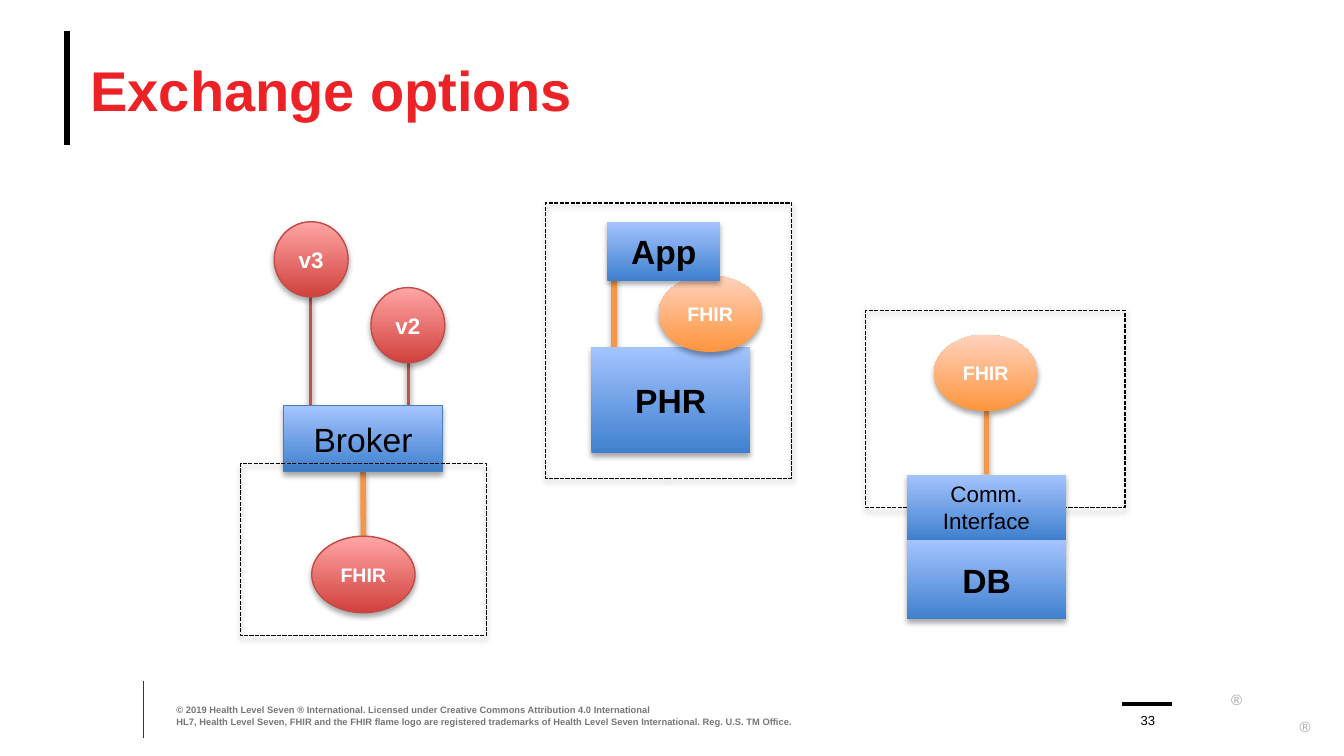
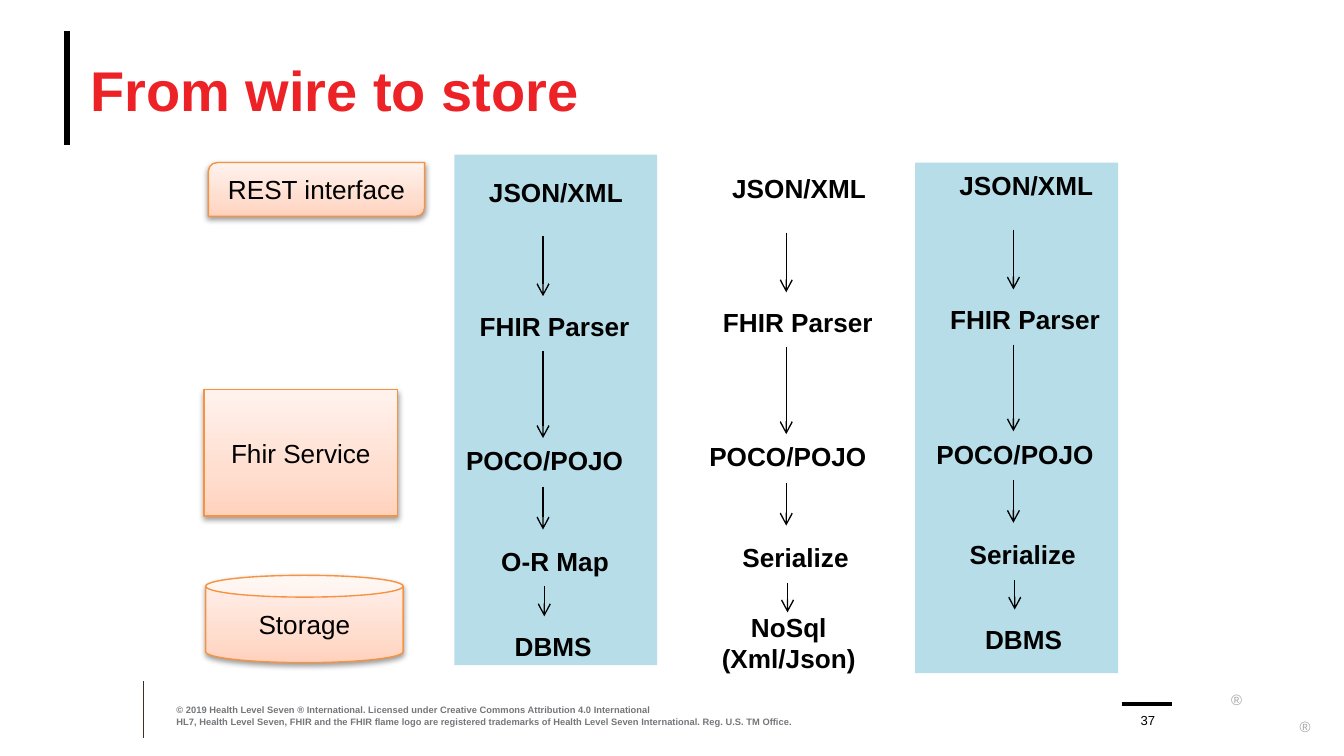
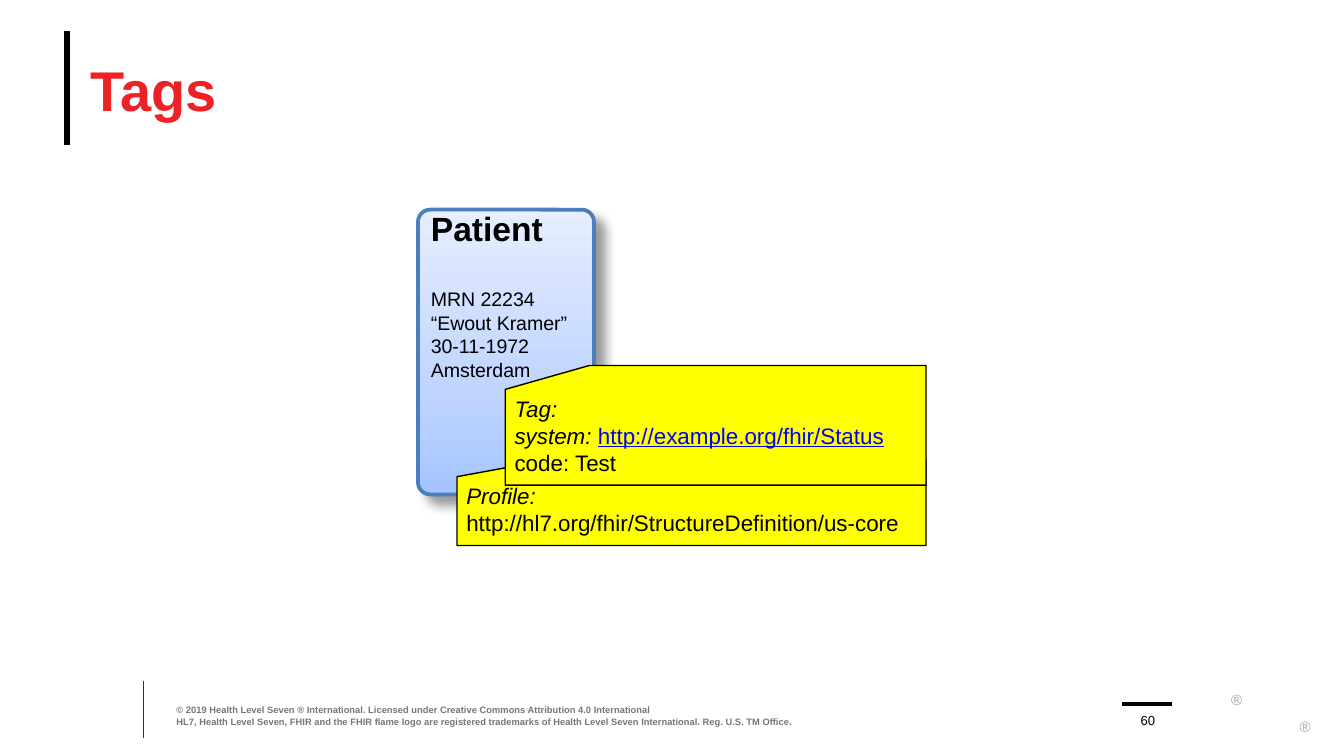
"""Build three slides on FHIR exchange options, storage layers and resource tags."""
from lxml import etree
from pptx import Presentation
from pptx.dml.color import RGBColor
from pptx.enum.dml import MSO_LINE
from pptx.enum.shapes import MSO_CONNECTOR, MSO_SHAPE
from pptx.enum.text import MSO_ANCHOR, MSO_AUTO_SIZE, PP_ALIGN
from pptx.oxml.ns import qn
from pptx.util import Pt

STRAIGHT = MSO_CONNECTOR.STRAIGHT
RECT, OVAL, CARD = MSO_SHAPE.RECTANGLE, MSO_SHAPE.OVAL, MSO_SHAPE.FLOWCHART_CARD
ROUND, CAN, LEAF = MSO_SHAPE.ROUNDED_RECTANGLE, MSO_SHAPE.CAN, MSO_SHAPE.ROUND_2_DIAG_RECTANGLE
TOP, MIDDLE, BOTTOM = MSO_ANCHOR.TOP, MSO_ANCHOR.MIDDLE, MSO_ANCHOR.BOTTOM
LEFT, CENTER = PP_ALIGN.LEFT, PP_ALIGN.CENTER
GROW, DASHED = MSO_AUTO_SIZE.SHAPE_TO_FIT_TEXT, MSO_LINE.SQUARE_DOT

DEEP, SOFT, CAST = (35, 3.1, 1.8, 90), (38, 3.1, 1.6, 90), (40, 6, 7, 45)
BLUE = {"stops": [(0, "3F80CE"), (100, "A4C4FF")], "shadow": DEEP}
RED = {"stops": [(0, "D1403C"), (100, "FFA6A5")], "line": "BF4C48", "width": 0.75, "shadow": DEEP}
THEME = {
    "font": "Arial",
    "text": {
        "title": ("EC2227", {"size": Pt(30), "bold": True}),
        "footer": ("747679", {"size": Pt(5), "bold": True}),
        "page": ("000000", {"size": Pt(7)}),
        "mark": ("A6A6A6", {"size": Pt(8)}),
        "system": ("000000", {"size": Pt(18), "bold": True}),
        "broker": ("000000", {"size": Pt(18)}),
        "interface": ("000000", {"size": Pt(12)}),
        "version": ("FFFFFF", {"size": Pt(12), "bold": True}),
        "fhir": ("FFFFFF", {"size": Pt(10.5), "bold": True}),
        "layer": ("000000", {"size": Pt(14)}),
        "step": ("000000", {"size": Pt(14), "bold": True}),
        "details": ("000000", {"size": Pt(10.5)}),
        "label": ("000000", {"size": Pt(12), "italic": True}),
        "value": ("000000", {"size": Pt(12)}),
        "address": ("0000FF", {"size": Pt(12), "underline": True}),
    },
    "look": {
        "title rule": {"line": "000000", "width": 3.25},
        "footer rule": {"line": "3D3029", "width": 0.5},
        "page rule": {"line": "000000", "width": 2},
        "blue": BLUE,
        "broker": {**BLUE, "line": "4B7EBC", "width": 0.75},
        "red": RED,
        "orange": {"stops": [(0, "FF953E"), (100, "FFD2BD")], "shadow": DEEP},
        "frame": {"line": "000000", "width": 0.75, "dash": DASHED, "shadow": SOFT},
        "fhir link": {"line": "F79646", "width": 3, "shadow": DEEP},
        "version link": {"line": "C0504D", "width": 2, "shadow": SOFT},
        "band": {"fill": "B7DEE8"},
        "layer": {"stops": [(0, "FFD2BD"), (35, "FFDED0"), (100, "FFF2ED")],
                  "line": "F69240", "width": 0.75, "shadow": SOFT},
        "flow": {"line": "000000", "width": 0.75, "arrow": True},
        "patient": {"stops": [(0, "A4C4FF"), (35, "BFD4FF"), (100, "E6EEFF")],
                    "line": "4B7EBC", "width": 2, "shadow": CAST},
        "card": {"fill": "FFFF00", "line": "000000", "width": 0.75},
    },
}


def paint(item, look_name):
    """Give a shape or connector its fill, line, arrowhead and shadow."""
    look = THEME["look"][look_name]
    props = item.element.spPr
    if "stops" in look:
        item.fill.gradient()
        item.fill.gradient_angle = 90
        stop_list = props.find(".//" + qn("a:gsLst"))
        stop_list.clear()
        for position, color in look["stops"]:
            stop = etree.SubElement(stop_list, qn("a:gs"), pos=str(position * 1000))
            etree.SubElement(stop, qn("a:srgbClr"), val=color)
    elif "fill" in look:
        item.fill.solid()
        item.fill.fore_color.rgb = RGBColor.from_string(look["fill"])
    elif hasattr(item, "fill"):
        item.fill.background()
    if "line" in look:
        item.line.color.rgb = RGBColor.from_string(look["line"])
        item.line.width = Pt(look["width"])
        if "dash" in look:
            item.line.dash_style = look["dash"]
    else:
        item.line.fill.background()
    if "arrow" in look:
        etree.SubElement(props.find(qn("a:ln")), qn("a:tailEnd"), type="arrow")
    effects = etree.SubElement(props, qn("a:effectLst"))
    if "shadow" in look:
        opacity, blur, distance, angle = look["shadow"]
        shadow = etree.SubElement(effects, qn("a:outerShdw"), blurRad=str(Pt(blur)),
                                  dist=str(Pt(distance)), dir=str(angle * 60000), rotWithShape="0")
        color = etree.SubElement(shadow, qn("a:srgbClr"), val="000000")
        etree.SubElement(color, qn("a:alpha"), val=str(opacity * 1000))
    return item


def write(shape, paragraphs, align=LEFT, anchor=TOP, margins=(5, 3, 5, 3), **settings):
    """Fill a shape with paragraphs, each a list of (text, style) runs."""
    frame = shape.text_frame
    sides = ("margin_left", "margin_top", "margin_right", "margin_bottom")
    layout = {"word_wrap": True, "vertical_anchor": anchor, **dict(zip(sides, map(Pt, margins)))}
    for name, value in {**layout, **settings}.items():
        setattr(frame, name, value)
    for index, runs in enumerate(paragraphs):
        paragraph = frame.add_paragraph() if index else frame.paragraphs[0]
        paragraph.alignment = align
        for text, style in runs:
            if text == "\v":
                paragraph.add_line_break()
                continue
            run = paragraph.add_run()
            run.text = text
            color, font_format = THEME["text"][style]
            run.font.name = THEME["font"]
            run.font.color.rgb = RGBColor.from_string(color)
            for name, value in font_format.items():
                setattr(run.font, name, value)
    return frame


deck = Presentation()
deck.slide_width, deck.slide_height = Pt(720), Pt(405)

FLUSH = (0, 0, 0, 0)
INSET = (7.2, 3.6, 7.2, 3.6)
RULES = [
    ((36, 16.6, 36, 77.8), "title rule"),
    ((77, 365, 77, 395.3), "footer rule"),
    ((601.2, 377.3, 627.8, 377.3), "page rule"),
]
COPYRIGHT = [
    "© 2019 Health Level Seven ® International. Licensed under Creative Commons Attribution 4.0 International",
    "HL7, Health Level Seven, FHIR and the FHIR flame logo are registered trademarks of "
    "Health Level Seven International. Reg. U.S. TM Office.",
]
slides = []
for title, page in (("Exchange options", "33"), ("From wire to store", "37"), ("Tags", "60")):
    slide = deck.slides.add_slide(deck.slide_layouts[6])
    slides.append(slide.shapes)
    for ends, look in RULES:
        paint(slide.shapes.add_connector(STRAIGHT, *map(Pt, ends)), look)
    for at in ((659.5, 367.2, 8, 6.5), (696.2, 381.6, 6.5, 6.5)):
        mark = slide.shapes.add_textbox(*map(Pt, at))
        write(mark, [[("®", "mark")]], margins=(0, 3.6, 0, 3.6), word_wrap=False)
    heading = slide.shapes.add_textbox(*map(Pt, (48.5, 16.6, 648, 61.9)))
    write(heading, [[(title, "title")]], anchor=MIDDLE, margins=FLUSH)
    footer = slide.shapes.add_textbox(*map(Pt, (94.5, 377.3, 356.4, 12.2)))
    write(footer, [[(text, "footer")] for text in COPYRIGHT], anchor=BOTTOM, margins=FLUSH)
    number = slide.shapes.add_textbox(*map(Pt, (604.1, 378, 21.6, 12.2)))
    write(number, [[(page, "page")]], CENTER, BOTTOM, FLUSH)

exchange, storage, tags = slides

LINKS = {
    "broker": ((194.5, 252.7, 194.5, 287.3), "fhir link"),
    "v3": ((166.3, 217.4, 166.3, 159.1), "version link"),
    "v2": ((218.9, 217.4, 218.9, 193.7), "version link"),
    "app": ((329, 185.8, 329, 147.6), "fhir link"),
    "interface": ((528.5, 254.2, 528.5, 220.3), "fhir link"),
}
links = {name: paint(exchange.add_connector(STRAIGHT, *map(Pt, ends)), look)
         for name, (ends, look) in LINKS.items()}

SYSTEMS = [
    ("broker fhir", OVAL, (167, 287.3, 55.4, 41), "red", ["FHIR"], "fhir"),
    ("broker", RECT, (152, 217.4, 85, 35.3), "broker", ["Broker"], "broker"),
    ("v3", OVAL, (146.9, 118.8, 39.6, 40.3), "red", ["v3"], "version"),
    ("broker scope", RECT, (128.9, 248.4, 131.8, 92.2), "frame", [], None),
    ("v2", OVAL, (198.7, 154.1, 39.6, 40.3), "red", ["v2"], "version"),
    ("phr", RECT, (316.8, 185.8, 85, 56.9), "blue", ["PHR"], "system"),
    ("phr scope", RECT, (292.3, 108.7, 131.8, 147.6), "frame", [], None),
    ("phr fhir", OVAL, (352.8, 147.6, 55.4, 41), "orange", ["FHIR"], "fhir"),
    ("app", RECT, (325.4, 118.8, 60.5, 31.7), "blue", ["App"], "system"),
    ("db scope", RECT, (463.7, 166.3, 139, 105.8), "frame", [], None),
    ("interface", RECT, (486, 254.2, 85, 35.3), "blue", ["Comm.", "Interface"], "interface"),
    ("db", RECT, (486, 289.4, 85, 42.5), "blue", ["DB"], "system"),
    ("db fhir", OVAL, (500.4, 179.3, 55.4, 41), "orange", ["FHIR"], "fhir"),
]
systems = {}
for name, outline, at, look, lines, style in SYSTEMS:
    systems[name] = paint(exchange.add_shape(outline, *map(Pt, at)), look)
    write(systems[name], [[(text, style)] for text in lines], CENTER, MIDDLE)
links["broker"].begin_connect(systems["broker"], 2)
links["broker"].end_connect(systems["broker fhir"], 0)
links["interface"].begin_connect(systems["interface"], 0)

for left, top in ((243.4, 82.8), (490.3, 87.1)):
    paint(storage.add_shape(RECT, *map(Pt, (left, top, 108.7, 273.6))), "band")

LAYERS = [
    (CAN, (110.2, 308.2, 105.8, 46.8), "Storage"),
    (RECT, (109.4, 208.8, 103.7, 67.7), "Fhir Service"),
    (LEAF, (111.6, 87.1, 115.9, 28.8), "REST interface"),
]
for outline, at, text in LAYERS:
    layer = paint(storage.add_shape(outline, *map(Pt, at)), "layer")
    write(layer, [[(text, "layer")]], CENTER, MIDDLE, INSET)

SHARED_STEPS = [("JSON/XML", -36, 0, 86.4), ("FHIR Parser", -41, 72, 95.8), ("POCO/POJO", -48.3, 144, 98.6)]
MAPPING = ("O-R Map", -29.5, 198, 72.7)
SERIALIZE = ("Serialize", -30.5, 198, 72)
DBMS = ("DBMS", -22.3, 243.6, 56.2)
NOSQL = ("NoSql\v(Xml/Json)", -41.8, 235.4, 86.4)
PIPELINES = [
    (290.9, 90.7, [MAPPING, DBMS]),
    (421.2, 88.6, [SERIALIZE, NOSQL]),
    (542.9, 87.1, [SERIALIZE, DBMS]),
]
FLOWS = [(0, 36, 68), (0, 97.5, 144), (0, 170, 193), (0.7, 223.5, 239.5)]
for axis, top, last_steps in PIPELINES:
    for text, shift, drop, width in SHARED_STEPS + last_steps:
        first, *rest = text.split("\v")
        runs = [(first, "step")]
        for line in rest:
            runs += [("\v", "step"), (line, "step")]
        step = storage.add_textbox(*map(Pt, (axis + shift, top + drop, width, 41 if rest else 24.5)))
        write(step, [runs], CENTER if rest else LEFT, margins=INSET, word_wrap=False, auto_size=GROW)
    for shift, start, end in FLOWS:
        ends = (axis + shift, top + start, axis + shift, top + end)
        paint(storage.add_connector(STRAIGHT, *map(Pt, ends)), "flow")

patient = paint(tags.add_shape(ROUND, *map(Pt, (223.9, 112.3, 94.3, 152.6))), "patient")
patient.adjustments[0] = 0.07
DETAILS = ["MRN 22234", "“Ewout Kramer”", "30-11-1972", "Amsterdam"]
record = write(patient, [[("Patient", "system")]] + [[(text, "details")] for text in DETAILS],
               margins=(5, -3, 5, 3))
record.paragraphs[1].space_before = Pt(21)

CARDS = [
    ((244.8, 246.2, 251.3, 46.1), [
        [("Profile:", "label"), ("\v", "label"), ("http://hl7.org/fhir/StructureDefinition/us-core", "value")],
    ]),
    ((270.7, 195.8, 225.4, 64.1), [
        [("Tag:", "label"), ("\v", "label"), ("system: ", "label"),
         ("http://example.org/fhir/Status", "address")],
        [("code: Test", "value")],
    ]),
]
for at, paragraphs in CARDS:
    write(paint(tags.add_shape(CARD, *map(Pt, at)), "card"), paragraphs)

deck.save("out.pptx")
